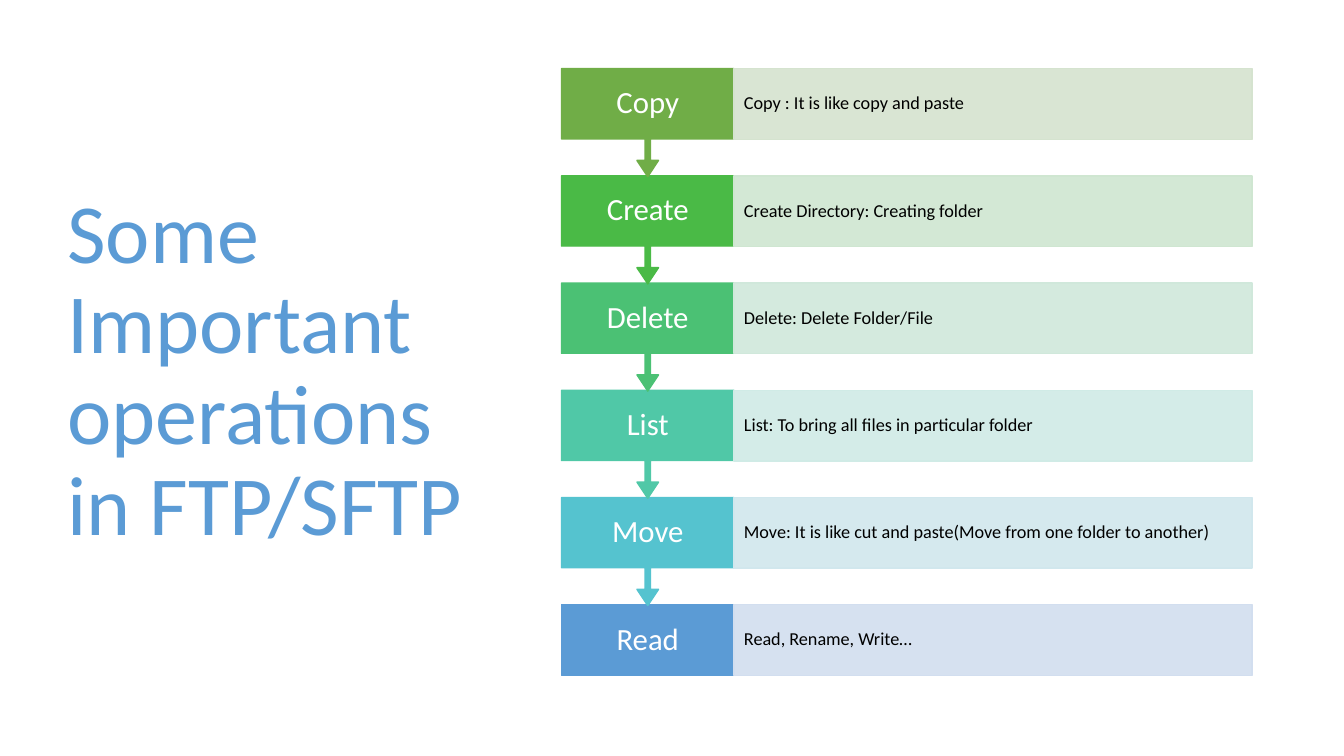
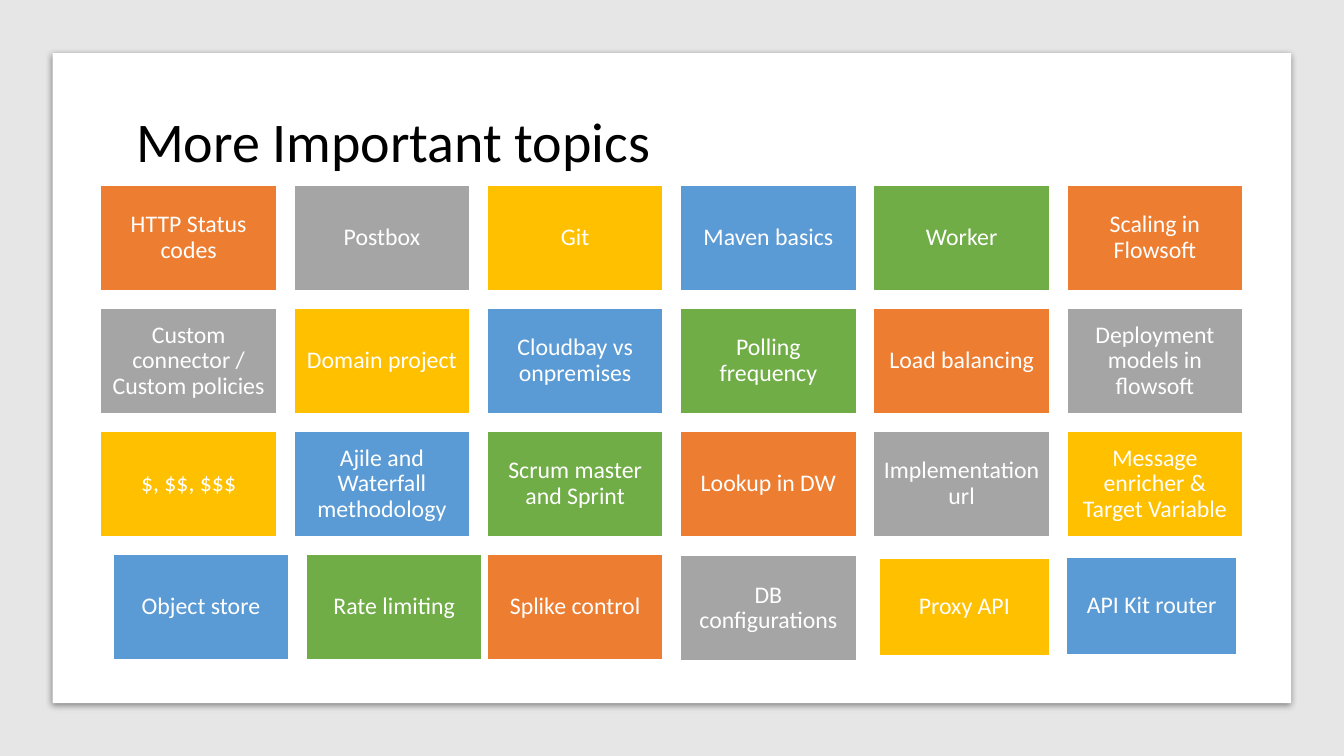
from itertools import cycle

from lxml.etree import SubElement
from pptx import Presentation
from pptx.dml.color import RGBColor
from pptx.enum.shapes import MSO_SHAPE
from pptx.enum.text import MSO_ANCHOR, PP_ALIGN
from pptx.oxml.ns import qn
from pptx.util import Cm, Pt

# Shared style
WIDE, HIGH = 33.87, 19.05
FONT = "Calibri"
WHITE, BLACK, PALE, BLUE = "FFFFFF", "000000", "E7E6E6", "5B9BD5"
HUES = ["ED7D31", "A5A5A5", "FFC000", BLUE, "70AD47"]

# Label, detail, strong colour, soft colour
STEPS = [
    ("Copy", "Copy : It is like copy and paste", "70AD47", "D5E3CF"),
    ("Create", "Create Directory: Creating folder", "4ABA46", "CFE6D1"),
    ("Delete", "Delete: Delete Folder/File", "4BC174", "D0E8DB"),
    ("List", "List: To bring all files in particular folder", "50C8A7", "D0EBE6"),
    ("Move", "Move: It is like cut and paste(Move from one folder to another)",
     "55C3CF", "D1E7ED"),
    ("Read", "Read, Rename, Write…", BLUE, "D2DEEF"),
]

TOPICS = [
    "HTTP Status codes", "Postbox", "Git", "Maven basics", "Worker",
    "Scaling in Flowsoft",
    "Custom connector / Custom policies", "Domain project",
    "Cloudbay vs onpremises", "Polling frequency", "Load balancing",
    "Deployment models in flowsoft",
    "$, $$, $$$", "Ajile and Waterfall methodology",
    "Scrum master and Sprint", "Lookup in DW", "Implementation url",
    "Message enricher & Target Variable",
    "Object store", "Rate limiting", "Splike control", "DB configurations",
    "Proxy API", "API Kit router",
]
# Cards off the grid: shift right, shift down, change of width and height
SHIFTS = {
    "Object store": (0.31, 0, 0, 0),
    "Rate limiting": (0.31, 0, 0, 0),
    "DB configurations": (0, 0.03, 0, 0),
    "Proxy API": (0.13, 0.1, -0.12, -0.2),
    "API Kit router": (-0.02, 0.07, -0.12, -0.2),
}


def paint(part, hue, alpha=None):
    """Give a fill or a line a solid colour."""
    part.solid()
    part.fore_color.rgb = RGBColor.from_string(hue)
    if alpha:
        for node in part._xPr.iter(qn("a:srgbClr")):
            if node.getparent().getparent().tag != qn("a:ln"):
                SubElement(node, qn("a:alpha"), val=str(alpha * 1000))


def block(slide, box, hue, line=None, kind=MSO_SHAPE.RECTANGLE, alpha=None):
    shape = slide.shapes.add_shape(kind, *map(Cm, box))
    shape.shadow.inherit = False
    paint(shape.fill, hue, alpha)
    if line:
        paint(shape.line.fill, line, alpha)
        shape.line.width = Pt(1)
    else:
        shape.line.fill.background()
    return shape


def write(shape, text, size=17, hue=WHITE, align=PP_ALIGN.CENTER,
          anchor=MSO_ANCHOR.MIDDLE, side=0.25, edge=0.13):
    frame = shape.text_frame
    frame.word_wrap = True
    frame.vertical_anchor = anchor
    frame.margin_left = frame.margin_right = Cm(side)
    frame.margin_top = frame.margin_bottom = Cm(edge)
    para = frame.paragraphs[0]
    para.alignment = align
    para.line_spacing = 0.9
    run = para.add_run()
    run.text = text
    run.font.name = FONT
    run.font.size = Pt(size)
    run.font.color.rgb = RGBColor.from_string(hue)


def title(slide, box, text, **style):
    shape = slide.shapes.add_textbox(*map(Cm, box))
    write(shape, text, align=PP_ALIGN.LEFT, **style)


def flow(slide, box):
    """Stack the steps, each pointing to the next."""
    left, top, width, height = box
    tall = 1.78
    pitch = (height - tall) / (len(STEPS) - 1)
    head = width / 4
    last = len(STEPS) - 1
    # Bottom step first, so that each arrow tip lies on the step below
    for row in range(last, -1, -1):
        label, detail, hue, soft = STEPS[row]
        y = top + row * pitch
        if row == last:
            step = block(slide, (left, y, head, tall), hue, hue)
        else:
            step = block(slide, (left, y, head, pitch + 0.02), hue, hue,
                         kind=MSO_SHAPE.DOWN_ARROW_CALLOUT)
            for spot, value in enumerate((0.05, 0.1, 0.15, 0.65)):
                step.adjustments[spot] = value
        write(step, label, size=22, side=0.3, edge=0.4)
        bar = block(slide, (left + head, y, width - head, tall), soft, soft,
                    alpha=90)
        write(bar, detail, size=13, hue=BLACK, align=PP_ALIGN.LEFT, edge=0.45)


def grid(slide, box, cols=6, rows=4, gap=0.44):
    """Lay the topics out as cards in a cycle of colours."""
    left, top, width, height = box
    wide = (width - gap * (cols - 1)) / cols
    tall = (height - gap * (rows - 1)) / rows
    for spot, (text, hue) in enumerate(zip(TOPICS, cycle(HUES))):
        row, col = divmod(spot, cols)
        right, down, grow, rise = SHIFTS.get(text, (0, 0, 0, 0))
        place = (left + col * (wide + gap) + right,
                 top + row * (tall + gap) + down, wide + grow, tall + rise)
        write(block(slide, place, hue, WHITE), text, side=0.18, edge=0.18)


def panel(slide, box):
    """White sheet with a soft shadow."""
    sheet = block(slide, box, WHITE)
    glow = sheet._element.spPr.find(qn("a:effectLst"))
    cast = SubElement(glow, qn("a:outerShdw"), blurRad=str(Pt(5)),
                      dist=str(Pt(1.4)), dir="5400000", algn="t",
                      rotWithShape="0")
    tint = SubElement(cast, qn("a:srgbClr"), val=BLACK)
    SubElement(tint, qn("a:alpha"), val="43000")


def steps(slide):
    title(slide, (1.45, 1.73, 10.57, 15.29),
          "Some Important operations in FTP/SFTP", size=60, hue=BLUE)
    flow(slide, (14.15, 1.73, 17.4, 15.29))


def topics(slide):
    block(slide, (0, 0, WIDE, HIGH), PALE)
    panel(slide, (1.33, 1.34, 31.21, 16.38))
    title(slide, (3.18, 2.74, 27.5, 1.9), "More Important topics",
          size=40, hue=BLACK, anchor=MSO_ANCHOR.TOP)
    grid(slide, (2.54, 4.67, 28.78, 11.96))


def main():
    deck = Presentation()
    deck.slide_width, deck.slide_height = Cm(WIDE), Cm(HIGH)
    for build in (steps, topics):
        build(deck.slides.add_slide(deck.slide_layouts[6]))
    deck.save("out.pptx")


if __name__ == "__main__":
    main()
